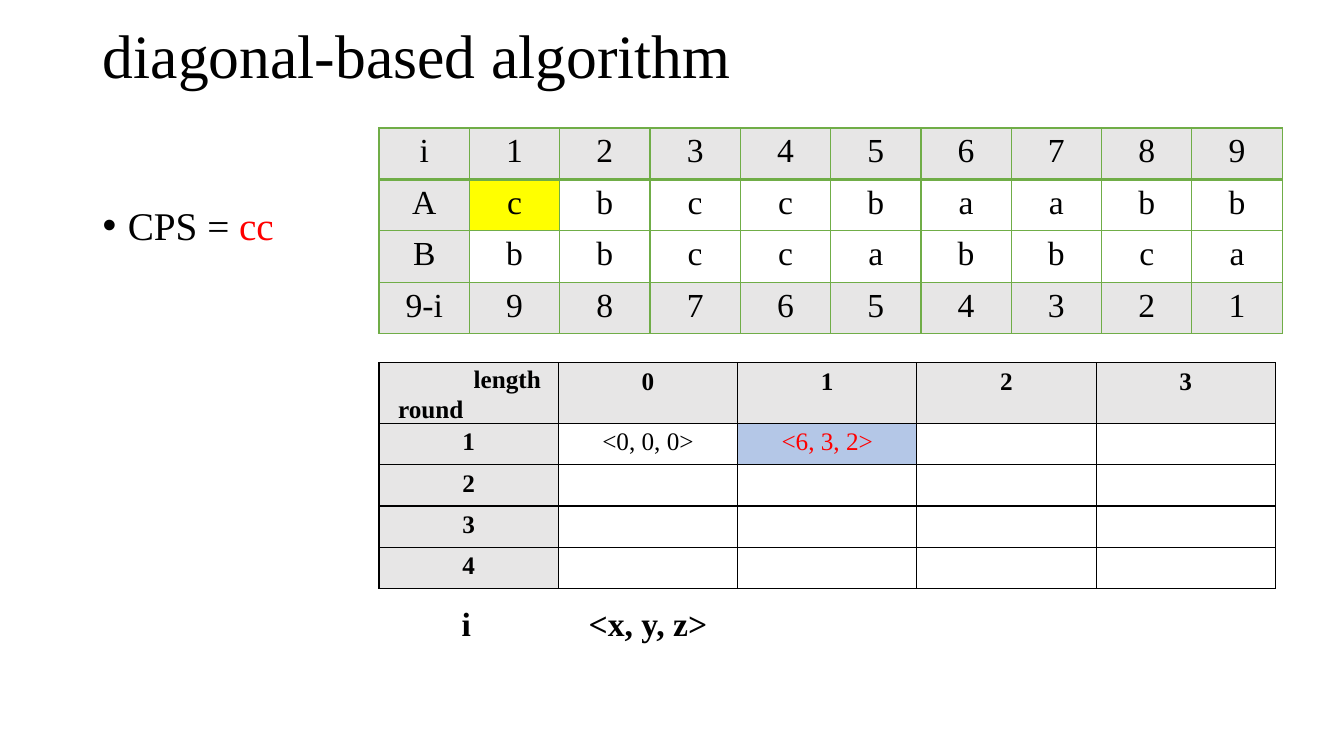
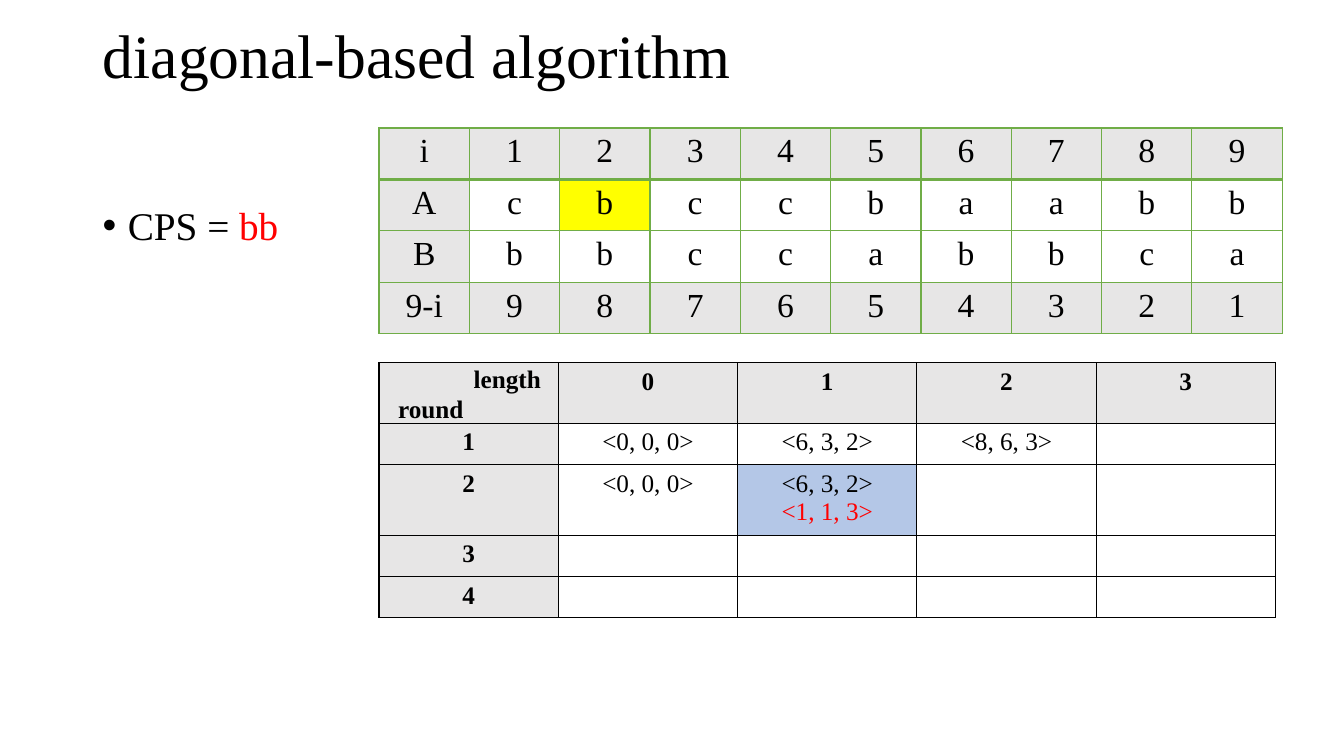
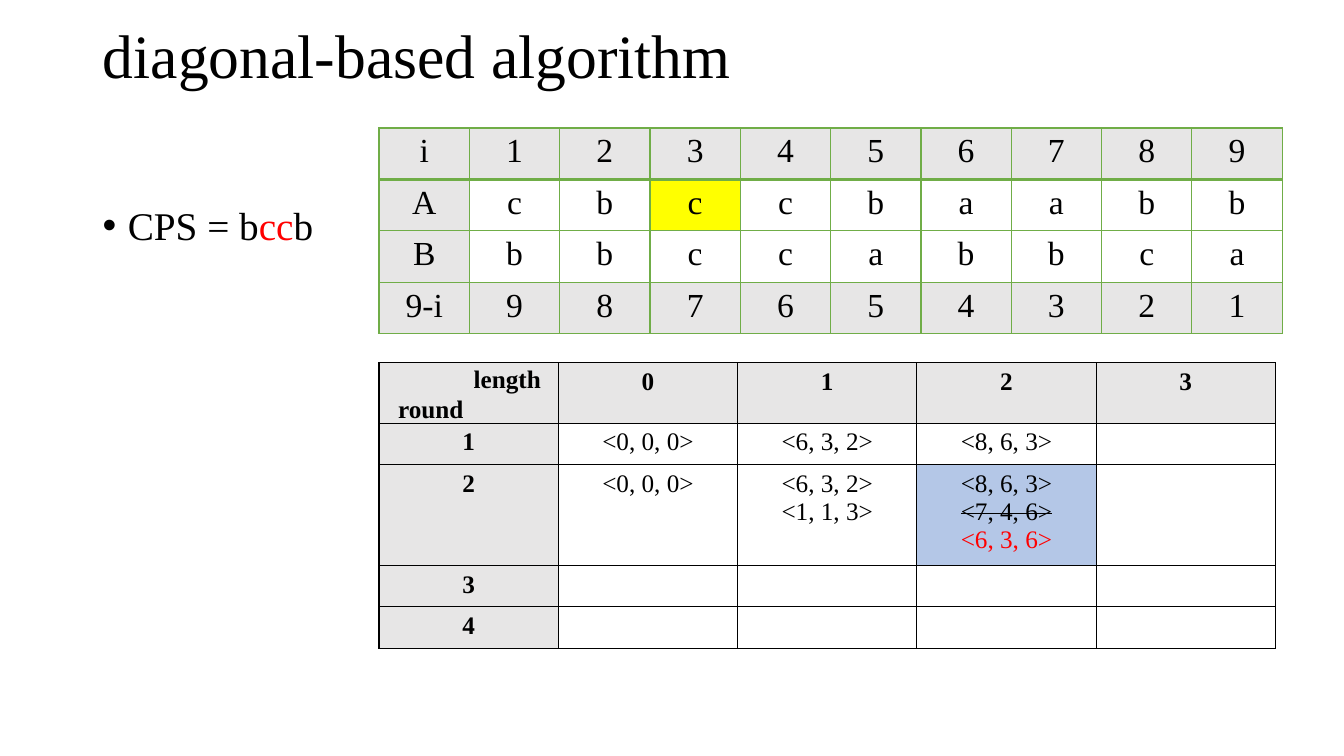
from dataclasses import dataclass, field

import lxml.etree
import pptx
import pptx.dml.color
import pptx.enum.text
import pptx.oxml.ns
import pptx.util

Inches = pptx.util.Inches
Align = pptx.enum.text.PP_ALIGN
FONT = "Times New Roman"
BLACK, RED, GREEN = "000000", "FF0000", "70AD47"
GREY, BLUE, YELLOW = "E7E6E6", "B4C7E7", "FFFF00"
LEFT = 3.76  # shared left edge of both tables
LETTERS = ["i123456789", "Acbccbaabb", "Bbbccabbca", ["9-i", *"987654321"]]


@dataclass
class Run:
    text: str
    color: str = BLACK
    strike: bool = False


@dataclass
class Cell:
    lines: list[Run] = field(default_factory=list)
    fill: str = ""
    bold: bool = False


@dataclass
class Step:
    """One slide: its string, the letter in focus and the filled rounds."""
    answer: list[Run]
    focus: int
    rounds: list[list[Cell]]
    legend: bool = False


def rgb(value: str) -> pptx.dml.color.RGBColor:
    return pptx.dml.color.RGBColor.from_string(value)


def add_tag(parent, tag: str, **attrs):
    node = lxml.etree.SubElement(parent, pptx.oxml.ns.qn(tag))
    for key, value in attrs.items():
        node.set(key, str(value))
    return node


def write(para, runs: list[Run], size: int, bold: bool = False) -> None:
    """Fill a paragraph; runs only differ in colour and strike."""
    font = para.font
    font.name, font.size, font.bold = FONT, pptx.util.Pt(size), bold
    font.color.rgb = rgb(runs[0].color)
    for part in runs:
        run = para.add_run()
        run.text = part.text
        if part.color != runs[0].color:
            run.font.color.rgb = rgb(part.color)
        if part.strike:
            run._r.get_or_add_rPr().set("strike", "sngStrike")


def add_box(slide, left: float, top: float, width: float, height: float):
    box = slide.shapes.add_textbox(
        Inches(left), Inches(top), Inches(width), Inches(height))
    box.text_frame.word_wrap = True
    return box.text_frame


def edge(cell, widths: dict[str, float], color: str) -> None:
    """Draw the four borders of a cell; they must precede its fill."""
    props = cell._tc.get_or_add_tcPr()
    for side in ("L", "R", "T", "B"):
        width = pptx.util.Pt(widths.get(side, 1))
        line = add_tag(props, f"a:ln{side}", w=int(width))
        add_tag(add_tag(line, "a:solidFill"), "a:srgbClr", val=color)


def add_grid(slide, top: float, width: float, heights: list[float],
             cells: list[list[Cell]], size: int, color: str, rule: float) -> None:
    """Draw a table with even columns; rule is the line under its header."""
    count = len(cells[0])
    frame = slide.shapes.add_table(
        len(cells), count, Inches(LEFT), Inches(top),
        Inches(width), Inches(sum(heights)))
    table = frame.table
    table.first_row = table.horz_banding = False
    for col in table.columns:
        col.width = Inches(width / count)
    for r, row in enumerate(cells):
        table.rows[r].height = Inches(heights[r])
        widths = {0: {"B": rule}, 1: {"T": rule}}.get(r, {})
        for c, item in enumerate(row):
            cell = table.cell(r, c)
            edge(cell, widths, color)
            if item.fill:
                cell.fill.solid()
                cell.fill.fore_color.rgb = rgb(item.fill)
            else:
                cell.fill.background()
            frame = cell.text_frame
            for n, line in enumerate(item.lines):
                para = frame.add_paragraph() if n else frame.paragraphs[0]
                para.alignment = Align.CENTER
                write(para, [line], size, item.bold)


def add_title(slide) -> None:
    title = slide.shapes.title
    title.left, title.top = Inches(0.92), Inches(0.05)
    title.width, title.height = Inches(11.5), Inches(1.07)
    frame = title.text_frame
    frame.auto_size = pptx.enum.text.MSO_AUTO_SIZE.NONE
    frame.vertical_anchor = pptx.enum.text.MSO_ANCHOR.MIDDLE
    para = frame.paragraphs[0]
    para.alignment, para.line_spacing = Align.LEFT, 0.9
    write(para, [Run("diagonal-based algorithm")], 44)


def add_answer(slide, runs: list[Run]) -> None:
    para = add_box(slide, 0.92, 2, 11.5, 4.76).paragraphs[0]
    para.line_spacing = 0.9
    props = para._p.get_or_add_pPr()
    props.set("marL", str(Inches(0.25)))
    props.set("indent", str(-Inches(0.25)))
    add_tag(props, "a:buFont", typeface="Arial")
    add_tag(props, "a:buChar", char="•")
    write(para, [Run("CPS = "), *runs], 28)


def add_letters(slide, focus: int) -> None:
    def tint(r: int, c: int) -> str:
        if (r, c) == (1, focus):
            return YELLOW
        return GREY if r in (0, 3) or c == 0 else ""

    cells = [[Cell([Run(text)], tint(r, c)) for c, text in enumerate(row)]
             for r, row in enumerate(LETTERS)]
    add_grid(slide, 1.27, 8.96, [0.51] * 4, cells, 24, GREEN, 2)


def add_rounds(slide, rounds: list[list[Cell]]) -> None:
    def head(text: str) -> Cell:
        return Cell([Run(text)], GREY, True)

    cells = [[Cell(fill=GREY), *map(head, "0123")]]
    heights = [0.6]
    for n in range(4):
        done = rounds[n] if n < len(rounds) else []
        cells.append([head(str(n + 1)), *done, *[Cell()] * (4 - len(done))])
        most = max(len(cell.lines) for cell in cells[-1])
        heights.append(max(0.41, 0.1 + 0.28 * most))
    add_grid(slide, 3.6, 8.89, heights, cells, 18, BLACK, 1)

    # Two axis names over the corner cell
    frame = add_box(slide, 3.85, 3.55, 1.86, 0.71)
    above = frame.paragraphs[0]
    above._p.get_or_add_pPr().set("marL", str(Inches(0.75)))
    write(above, [Run("length")], 18, True)
    write(frame.add_paragraph(), [Run("round")], 18, True)


def add_legend(slide) -> None:
    para = add_box(slide, 3.57, 5.93, 4.05, 0.5).paragraphs[0]
    tabs = add_tag(para._p.get_or_add_pPr(), "a:tabLst")
    for stop in (0.91, 2.17):
        add_tag(tabs, "a:tab", pos=int(Inches(stop)), algn="l")
    write(para, [Run("\ti\t<x, y, z>")], 24, True)


# Entries of the rounds table
ZERO, FIRST, NEXT = Run("<0, 0, 0>"), Run("<6, 3, 2>"), Run("<8, 6, 3>")
ROUND = [Cell([ZERO]), Cell([FIRST]), Cell([NEXT])]

STEPS = [
    Step([Run("cc", RED)], 1,
         [[Cell([ZERO]), Cell([Run(FIRST.text, RED)], BLUE)]], legend=True),
    Step([Run("bb", RED)], 2,
         [ROUND, [Cell([ZERO]), Cell([FIRST, Run("<1, 1, 3>", RED)], BLUE)]]),
    Step([Run("b"), Run("cc", RED), Run("b")], 3,
         [ROUND, [Cell([ZERO]), Cell([FIRST, Run("<1, 1, 3>")]),
                  Cell([NEXT, Run("<7, 4, 6>", strike=True),
                        Run("<6, 3, 6>", RED)], BLUE)]]),
]


def main() -> None:
    deck = pptx.Presentation()
    deck.slide_width, deck.slide_height = Inches(13.33), Inches(7.5)
    for step in STEPS:
        slide = deck.slides.add_slide(deck.slide_layouts[5])
        add_title(slide)
        add_answer(slide, step.answer)
        add_letters(slide, step.focus)
        add_rounds(slide, step.rounds)
        if step.legend:
            add_legend(slide)
    deck.save("out.pptx")


if __name__ == "__main__":
    main()
